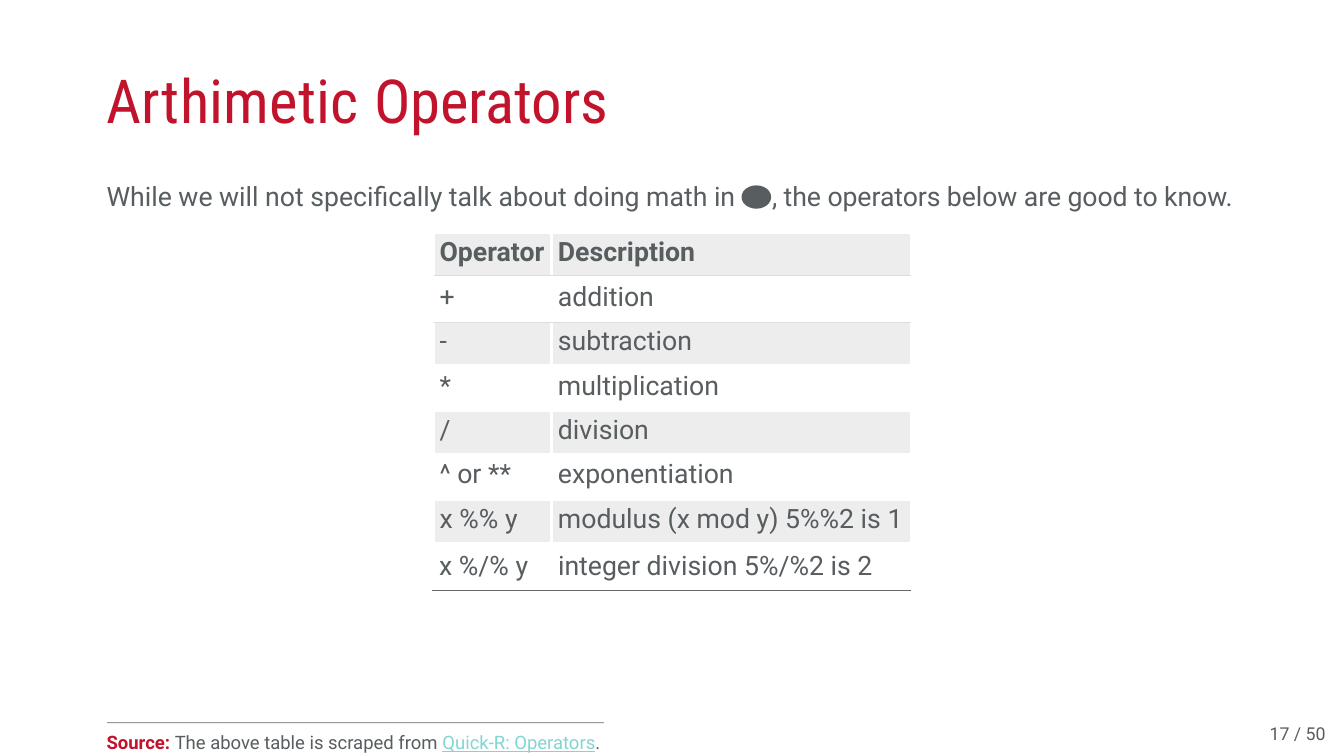
from pptx import Presentation
from pptx.util import Pt
from pptx.dml.color import RGBColor as RGB
from pptx.enum.shapes import MSO_CONNECTOR as LINE, MSO_SHAPE as FORM
from pptx.oxml.ns import qn
from lxml.etree import SubElement as Sub

RED = RGB(0xC2, 0x13, 0x2D)
GRAY = RGB(0x58, 0x5D, 0x60)
TEAL = RGB(0x83, 0xD5, 0xD3)
BAND = RGB(0xED, 0xED, 0xED)
EDGE = RGB(0xDD, 0xDD, 0xDD)
DARK = RGB(0x66, 0x66, 0x66)
MID = RGB(0x99, 0x99, 0x99)
WHITE = RGB(0xFF, 0xFF, 0xFF)

ROWS = [
    ("Operator", "Description"),
    ("+", "addition"),
    ("-", "subtraction"),
    ("*", "multiplication"),
    ("/", "division"),
    ("^ or **", "exponentiation"),
    ("x %% y", "modulus (x mod y) 5%%2 is 1"),
]
LAST = ("x %/% y", "integer division 5%/%2 is 2")


def add_run(par, text, size, color=GRAY, bold=False, under=False,
            face="Roboto", track=0):
    """Add one styled run to a paragraph."""
    run = par.add_run()
    run.text = text
    font = run.font
    font.name, font.size, font.bold = face, Pt(size), bold
    font.underline = under
    font.color.rgb = color
    if track:
        run._r.get_or_add_rPr().set("spc", str(track))


def add_text(slide, x, y, w, h):
    """Add a text box without margins and return its paragraph."""
    frame = slide.shapes.add_textbox(Pt(x), Pt(y), Pt(w), Pt(h)).text_frame
    frame.margin_left = frame.margin_right = 0
    frame.margin_top = frame.margin_bottom = 0
    frame.word_wrap = False
    return frame.paragraphs[0]


def add_rule(slide, x, y, w, color):
    """Draw a thin horizontal line."""
    rule = slide.shapes.add_connector(
        LINE.STRAIGHT, Pt(x), Pt(y), Pt(x + w), Pt(y))
    rule.line.color.rgb = color
    rule.line.width = Pt(0.75)
    Sub(rule._element.spPr, qn("a:effectLst"))


def add_edge(cell, side, color, width):
    """Give one side of a table cell a solid border."""
    edge = Sub(cell._tc.get_or_add_tcPr(), qn("a:ln" + side),
               w=str(int(Pt(width))))
    fill = Sub(edge, qn("a:solidFill"))
    Sub(fill, qn("a:srgbClr"), val=str(color))


def add_title(slide, x, y, w, h):
    """Place the slide title."""
    par = add_text(slide, x, y, w, h)
    add_run(par, "Arthimetic ", 41, RED, face="Roboto Condensed", track=20)
    add_run(par, "Operators", 41, RED, face="Roboto Condensed", track=-10)


def add_intro(slide, x, y, w, h):
    """Place the sentence with a plain mark inside it."""
    par = add_text(slide, x, y, 426, h)
    add_run(par, "While we will not specifically talk about doing math in", 18)
    mark = slide.shapes.add_shape(
        FORM.OVAL, Pt(x + 429), Pt(y + 4), Pt(20), Pt(15.8))
    mark.shadow.inherit = False
    mark.fill.solid()
    mark.fill.fore_color.rgb = GRAY
    mark.line.fill.background()
    par = add_text(slide, x + 449.6, y, w - 449.6, h)
    add_run(par, ", the operators below are good to know.", 18, track=-7)


def add_grid(slide, x, y, w, odd, even):
    """Place the banded table of operators, its last line and closing rule."""
    first = 79.3
    tall = [even if r % 2 else odd for r in range(len(ROWS))]
    grid = slide.shapes.add_table(
        len(ROWS), 2, Pt(x), Pt(y), Pt(w), Pt(sum(tall))).table
    grid.columns[0].width, grid.columns[1].width = Pt(first), Pt(w - first)
    for r, texts in enumerate(ROWS):
        grid.rows[r].height = Pt(tall[r])
        for c, text in enumerate(texts):
            cell = grid.cell(r, c)
            cell.margin_left = Pt(4.3 if c else 3.6)
            cell.margin_top = Pt(4 if r % 2 else 2.2)
            cell.margin_right = cell.margin_bottom = 0
            add_edge(cell, "L" if c else "R", WHITE, 2.25)
            if r in (1, 2):
                add_edge(cell, "T", EDGE, 1)
            if r in (0, 1):
                add_edge(cell, "B", EDGE, 1)
            if r % 2:
                cell.fill.background()
            else:
                cell.fill.solid()
                cell.fill.fore_color.rgb = BAND
            add_run(cell.text_frame.paragraphs[0], text, 18, bold=r == 0)
    base = y + sum(tall)
    for text, left, wide in zip(LAST, (3.3, first + 4.3), (62, 214)):
        add_run(add_text(slide, x + left, base + 4.5, wide, 23), text, 18)
    add_rule(slide, x - 1.8, base + even + 0.4, w + 2.6, DARK)


def add_source(slide, x, y, w, h):
    """Place the source note under its double rule."""
    add_rule(slide, x, y, w, MID)
    add_rule(slide, x, y + 0.7, w, BAND)
    par = add_text(slide, x, y + 6.2, w, h - 6.2)
    add_run(par, "Source: ", 12.5, RED, bold=True)
    add_run(par, "The above table is scraped from ", 12.5)
    add_run(par, "Quick-R: Operators", 12.5, TEAL, under=True)
    add_run(par, ".", 12.5)


def add_page(slide, x, y, w, h):
    """Place the page count."""
    add_run(add_text(slide, x, y, w, h), "17 / 50", 12)


def main():
    """Build the slide and save it."""
    deck = Presentation()
    deck.slide_width, deck.slide_height = Pt(908), Pt(511)
    slide = deck.slides.add_slide(deck.slide_layouts[6])
    add_title(slide, 72, 42.2, 341, 50)
    add_intro(slide, 72, 121.3, 764, 22)
    add_grid(slide, 293.4, 157.8, 321.6, 28.4, 31.8)
    add_source(slide, 72, 488.1, 336, 22.9)
    add_page(slide, 857.8, 488.8, 39, 15)
    deck.save("out.pptx")


if __name__ == "__main__":
    main()
